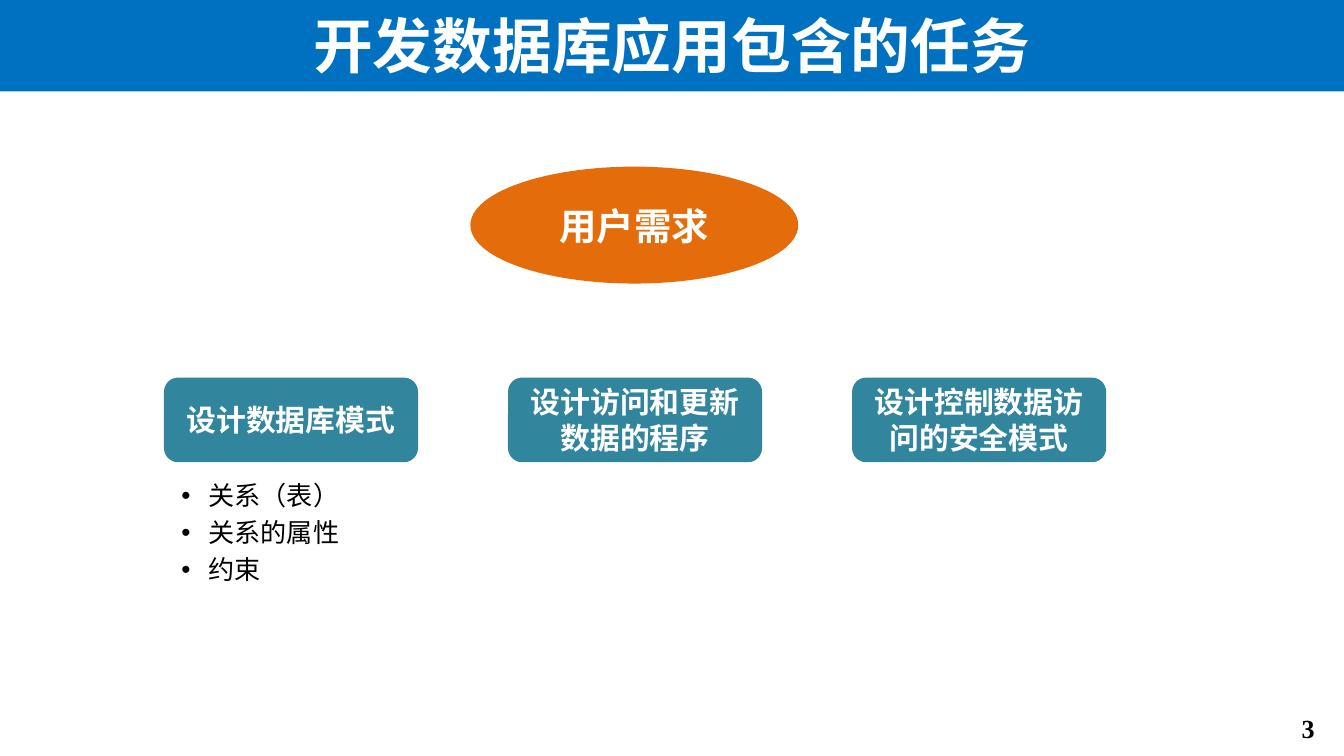
from pptx import Presentation
from pptx.dml.color import RGBColor
from pptx.enum.shapes import MSO_SHAPE
from pptx.enum.text import MSO_ANCHOR, MSO_AUTO_SIZE, PP_ALIGN
from pptx.oxml.ns import qn
from pptx.util import Inches, Pt

ELLIPSE, ROUNDED = MSO_SHAPE.OVAL, MSO_SHAPE.ROUNDED_RECTANGLE
LEFT, CENTER, RIGHT = PP_ALIGN.LEFT, PP_ALIGN.CENTER, PP_ALIGN.RIGHT
TOP, MIDDLE = MSO_ANCHOR.TOP, MSO_ANCHOR.MIDDLE
NO_FIT, GROW = MSO_AUTO_SIZE.NONE, MSO_AUTO_SIZE.SHAPE_TO_FIT_TEXT
CJK_FONT = "Noto Sans CJK SC"
COLORS = {
    "banner": "0070C0",
    "need": "E46C0A",
    "task": "31859C",
    "light": "FFFFFF",
    "dark": "000000",
}


def rgb(name):
    return RGBColor.from_string(COLORS[name])


def write(shape, *lines, size, color="light", font=CJK_FONT, bold=True,
          align=CENTER, anchor=MIDDLE, fit=NO_FIT, before=0.2, indent=None):
    """Fill a shape with one paragraph per line; before is a share of the size."""
    frame = shape.text_frame
    frame.word_wrap = True
    frame.auto_size = fit
    frame.vertical_anchor = anchor
    frame.text = "\n".join(lines)
    for paragraph in frame.paragraphs:
        paragraph.alignment = align
        paragraph.space_before = Pt(round(size * before))
        if indent:
            properties = paragraph._p.get_or_add_pPr()
            properties.set("marL", str(Inches(indent[0])))
            properties.set("indent", str(Inches(indent[1])))
        run_font = paragraph.runs[0].font
        run_font.name = font
        run_font.size = Pt(size)
        run_font.bold = bold
        run_font.color.rgb = rgb(color)
        east_asian = run_font._element.makeelement(qn("a:ea"), {"typeface": CJK_FONT})
        run_font._element.find(qn("a:latin")).addnext(east_asian)


class TaskSlide:
    def __init__(self, presentation):
        self.slide = presentation.slides.add_slide(presentation.slide_layouts[1])

    def place(self, shape, left, top, width, height):
        shape.left, shape.top = Inches(left), Inches(top)
        shape.width, shape.height = Inches(width), Inches(height)

    def title(self, text, *box):
        banner = self.slide.shapes.title
        self.place(banner, *box)
        banner.fill.solid()
        banner.fill.fore_color.rgb = rgb("banner")
        write(banner, text, size=32, font="Arial", before=0)

    def bullets(self, lines, *box):
        details = self.slide.placeholders[1]
        self.place(details, *box)
        write(details, *lines, size=14, color="dark", bold=False, align=LEFT,
              anchor=TOP, fit=GROW, indent=(0.31, -0.2))

    def node(self, kind, text, fill, size, *box):
        node = self.slide.shapes.add_shape(kind, *map(Inches, box))
        node.shadow.inherit = False
        node.fill.solid()
        node.fill.fore_color.rgb = rgb(fill)
        node.line.fill.background()
        write(node, text, size=size)

    def page_number(self, text, *box):
        number = self.slide.shapes.add_textbox(*map(Inches, box))
        write(number, text, size=14, color="dark", font="Times New Roman",
              align=RIGHT, anchor=TOP, fit=GROW)


def main():
    # Widescreen slide, 16:9
    presentation = Presentation()
    presentation.slide_width = Inches(10)
    presentation.slide_height = Inches(10 * 9 / 16)
    page = TaskSlide(presentation)

    # Title banner and page number
    page.title("开发数据库应用包含的任务", 0, -0.02, 10, 0.7)
    page.page_number("3", 9.25, 5.25, 0.63, 0.34)

    # User needs above the row of tasks
    page.node(ELLIPSE, "用户需求", "need", 20, 3.5, 1.24, 2.44, 0.87)
    tasks = ["设计数据库模式", "设计访问和更新数据的程序", "设计控制数据访问的安全模式"]
    for column, task in enumerate(tasks):
        page.node(ROUNDED, task, "task", 16, 1.22 + 2.56 * column, 2.81, 1.89, 0.63)

    # Details of the first task
    page.bullets(["关系（表）", "关系的属性", "约束"], 1.14, 3.52, 1.5, 0.9)

    presentation.save("out.pptx")


if __name__ == "__main__":
    main()
